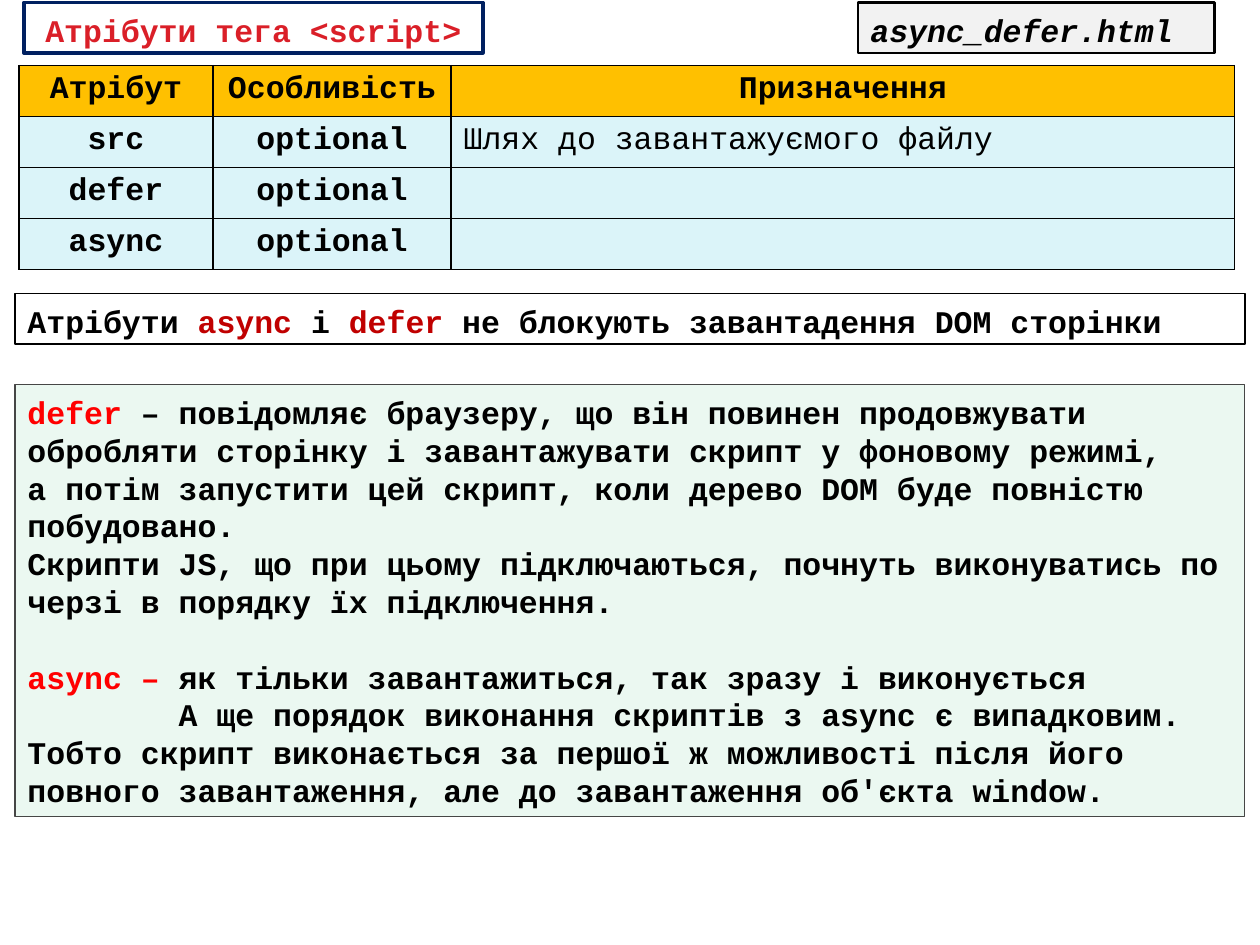
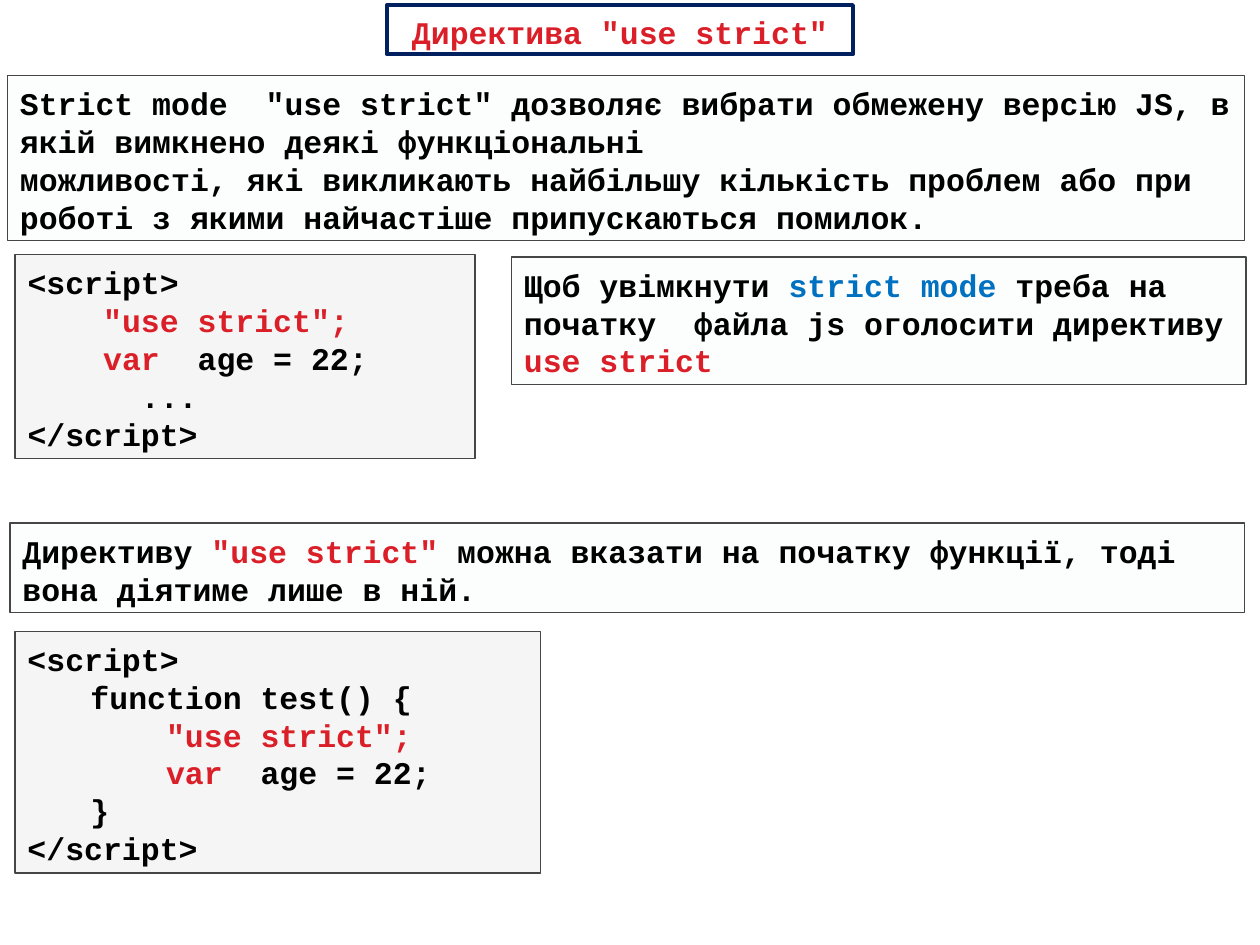
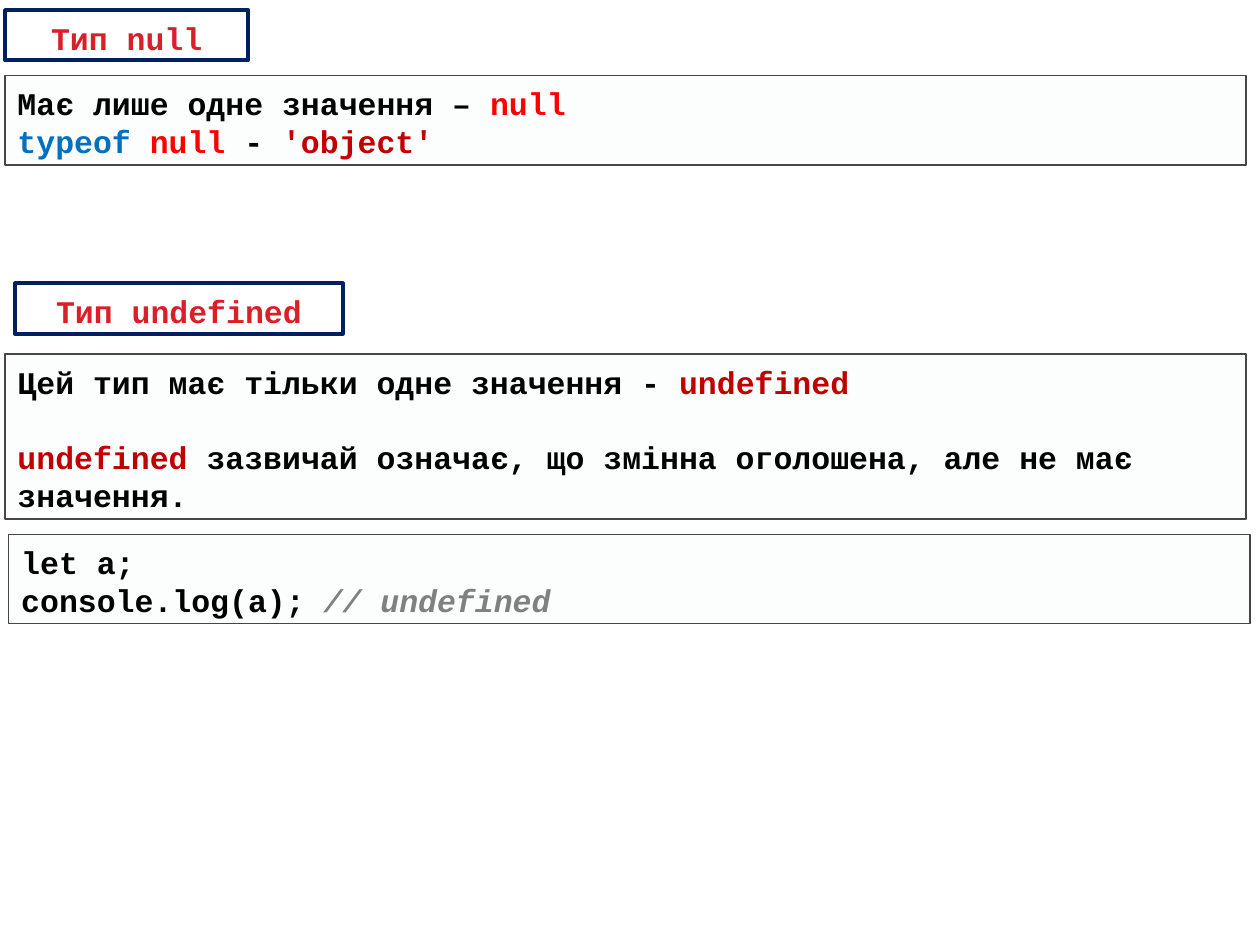
from pptx import Presentation
from pptx.dml.color import RGBColor
from pptx.enum.shapes import MSO_SHAPE as Shape
from pptx.enum.text import MSO_ANCHOR as Anchor, MSO_AUTO_SIZE as Auto, PP_ALIGN as Align
from pptx.oxml import parse_xml
from pptx.oxml.ns import nsdecls, qn
from pptx.util import Inches, Pt

BLACK, WHITE, NAVY, EDGE = "000000", "FFFFFF", "002060", "464646"
ROSE, RED, WINE, BLUE, GRAY = "DA1F28", "FF0000", "C00000", "0070C0", "808080"
GOLD, SKY = "FFC000", "B5E9F4"
NOTE, CODE, MINT = ("DEF5FA", 8), (GRAY, 8), ("00B050", 8)
LINE = Pt(21.6)


def rgb(hue):
    return RGBColor.from_string(hue)


def para(*runs, left=0, gap=False):
    """One paragraph: runs are strings or (text, colour[, italic])."""
    return runs, left, gap


class Deck:
    font = "Courier New"
    size = Pt(18)

    def __init__(self):
        self.prs = Presentation()
        self.prs.slide_width, self.prs.slide_height = Inches(10), Inches(7.5)
        self.slide = None

    def page(self, text, at):
        self.slide = self.prs.slides.add_slide(self.prs.slide_layouts[5])
        self.head(text, at, self.slide.shapes.title)

    def add_run(self, par, text, hue=BLACK, ital=False, bold=True):
        run = par.add_run()
        run.text = text
        font = run.font
        font.name, font.size = self.font, self.size
        font.bold, font.italic = bold, ital
        font.color.rgb = rgb(hue)

    def paint(self, fill, hue, alpha=100):
        fill.solid()
        fill.fore_color.rgb = rgb(hue)
        if alpha < 100:
            tint = parse_xml(f'<a:alpha {nsdecls("a")} val="{alpha * 1000}"/>')
            fill.fore_color._xFill[0].append(tint)

    def frame(self, shape, at, fill, edge, width):
        shape.left, shape.top, shape.width, shape.height = map(Inches, at)
        if fill:
            self.paint(shape.fill, *fill)
        else:
            shape.fill.background()
        shape.line.color.rgb = rgb(edge)
        shape.line.width = Pt(width)

    def put_text(self, shape, paras, align=Align.LEFT, anchor=Anchor.TOP):
        body = shape.text_frame
        body.word_wrap, body.auto_size = True, Auto.NONE
        body.vertical_anchor = anchor
        body.margin_left = body.margin_right = Inches(0.1)
        body.margin_top, body.margin_bottom = Inches(0.07), Inches(0.03)
        for num, (runs, left, gap) in enumerate(paras):
            par = body.add_paragraph() if num else body.paragraphs[0]
            par.alignment, par.line_spacing = align, LINE
            par.space_before = LINE if gap else Pt(0)
            if left:
                props = par._p.get_or_add_pPr()
                props.set("marL", str(Inches(left)))
                props.set("indent", "0")
            for run in runs:
                self.add_run(par, *([run] if isinstance(run, str) else run))

    def rect(self, at):
        shape = self.slide.shapes.add_shape(Shape.RECTANGLE, *map(Inches, at))
        shape.shadow.inherit = False
        return shape

    def head(self, text, at, shape=None):
        shape = shape or self.rect(at)
        self.frame(shape, at, (WHITE,), NAVY, 2.25)
        self.put_text(shape, [para((text, ROSE))], Align.CENTER, Anchor.MIDDLE)

    def box(self, at, *paras, fill=NOTE, edge=EDGE, width=0.75):
        shape = self.rect(at)
        self.frame(shape, at, fill, edge, width)
        self.put_text(shape, paras)

    def border(self, cell):
        props = cell._tc.get_or_add_tcPr()
        for side in "LRTB":
            props.append(parse_xml(
                f'<a:ln{side} {nsdecls("a")} w="{Pt(1)}"><a:solidFill>'
                f'<a:srgbClr val="{BLACK}"/></a:solidFill></a:ln{side}>'))

    def table(self, at, cols, rows):
        table = self.slide.shapes.add_table(
            len(rows), len(cols), *map(Inches, at)).table
        table._tbl.tblPr.find(qn("a:tableStyleId")).text = \
            "{2D5ABB26-0587-4C30-8999-92F81FD0307C}"
        for col, width in zip(table.columns, cols):
            col.width = Inches(width)
        for top, row in enumerate(rows):
            for left, text in enumerate(row):
                cell = table.cell(top, left)
                self.border(cell)
                self.paint(cell.fill, *((SKY, 48) if top else (GOLD,)))
                prose = top > 0 and left == 2
                par = cell.text_frame.paragraphs[0]
                par.alignment = Align.LEFT if prose else Align.CENTER
                if text:
                    self.add_run(par, text, bold=not prose)


def script_tag(deck):
    deck.page("Атрібути тега <script>", (0.19, 0.02, 3.64, 0.4))
    deck.table((0.15, 0.52, 9.65, 1.62), (1.54, 1.89, 6.22), [
        ("Атрібут", "Особливість", "Призначення"),
        ("src", "optional", "Шлях до завантажуємого файлу"),
        ("defer", "optional", ""),
        ("async", "optional", ""),
    ])
    # How the two attributes load a script
    deck.box(
        (0.12, 3.05, 9.76, 3.43),
        para(("defer", RED), " – повідомляє браузеру, що він повинен продовжувати "
             "обробляти сторінку і завантажувати скрипт у фоновому режимі,"),
        para("а потім запустити цей скрипт, коли дерево DOM буде повністю побудовано."),
        para("Скрипти JS, що при цьому підключаються, почнуть виконуватись по "
             "черзі в порядку їх підключення."),
        para(("async – ", RED), "як тільки завантажиться, так зразу і виконується",
             gap=True),
        para("А ще порядок виконання скриптів з async є випадковим.", left=1.2),
        para("Тобто скрипт виконається за першої ж можливості після його"),
        para("повного завантаження, але до завантаження об'єкта window."),
        fill=MINT)
    deck.box(
        (0.12, 2.33, 9.76, 0.4),
        para("Атрібути ", ("async ", WINE), "і ", ("defer ", WINE),
             "не блокують завантадення DOM сторінки"),
        fill=None, edge=BLACK, width=1)
    # File name
    deck.box((6.81, 0.02, 2.83, 0.4), para(("async_defer.html", BLACK, True)),
             fill=("F2F2F2",), edge=BLACK, width=1.5)


def strict_mode(deck):
    deck.page('Директива "use strict"', (3.07, 0.04, 3.7, 0.39))
    deck.box(
        (0.06, 0.6, 9.82, 1.31),
        para('Strict mode  "use strict" дозволяє вибрати обмежену версію JS, в '
             "якій вимкнено деякі функціональні"),
        para("можливості, які викликають найбільшу кількість проблем або при "
             "роботі з якими найчастіше припускаються помилок."))
    # Whole script
    start, end = para("<script>"), para("</script>")

    def body(left=0):
        return (para(('    "use strict";', ROSE), left=left),
                para(("    var", ROSE), "  age = 22;", left=left))

    deck.box((0.12, 2.02, 3.65, 1.62), start, *body(), para("      ..."), end,
             fill=CODE)
    deck.box(
        (4.06, 2.04, 5.83, 1.01),
        para("Щоб увімкнути ", ("strict mode", BLUE),
             " треба на початку  файла js оголосити директиву ",
             ("use strict", ROSE)))
    # One function
    deck.box(
        (0.08, 4.15, 9.8, 0.71),
        para("Директиву ", ('"use strict" ', ROSE),
             "можна вказати на початку функції, тоді вона діятиме лише в ній."))
    deck.box((0.12, 5.01, 4.17, 1.92), start,
             para("function test() {", left=0.5), *body(0.5),
             para("}", left=0.5), end, fill=CODE)


def empty_types(deck):
    # null
    deck.page("Тип null", (0.04, 0.08, 1.93, 0.4))
    deck.box(
        (0.04, 0.6, 9.85, 0.71),
        para("Має лише одне значення – ", ("null", RED)),
        para(("typeof ", BLUE), ("null ", RED), "- ", ("'object'", WINE)))
    # undefined
    deck.head("Тип undefined", (0.12, 2.25, 2.6, 0.4))
    deck.box(
        (0.04, 2.81, 9.85, 1.31),
        para("Цей тип має тільки одне значення - ", ("undefined", WINE)),
        para(("undefined ", WINE),
             "зазвичай означає, що змінна оголошена, але не має значення.", gap=True))
    deck.box((0.07, 4.24, 9.85, 0.71), para("let a;"),
             para("console.log(a); ", ("// undefined", GRAY, True)))


def main():
    deck = Deck()
    for build in (script_tag, strict_mode, empty_types):
        build(deck)
    deck.prs.save("out.pptx")


if __name__ == "__main__":
    main()
